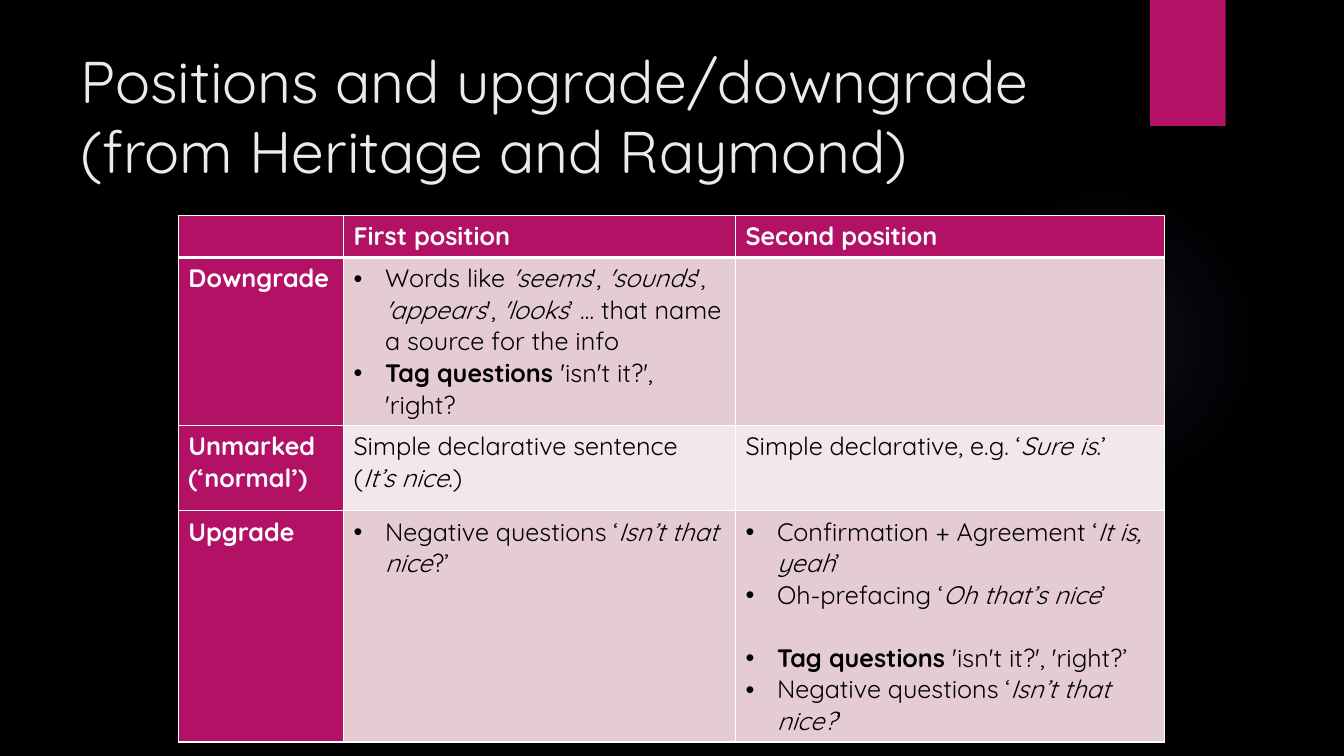
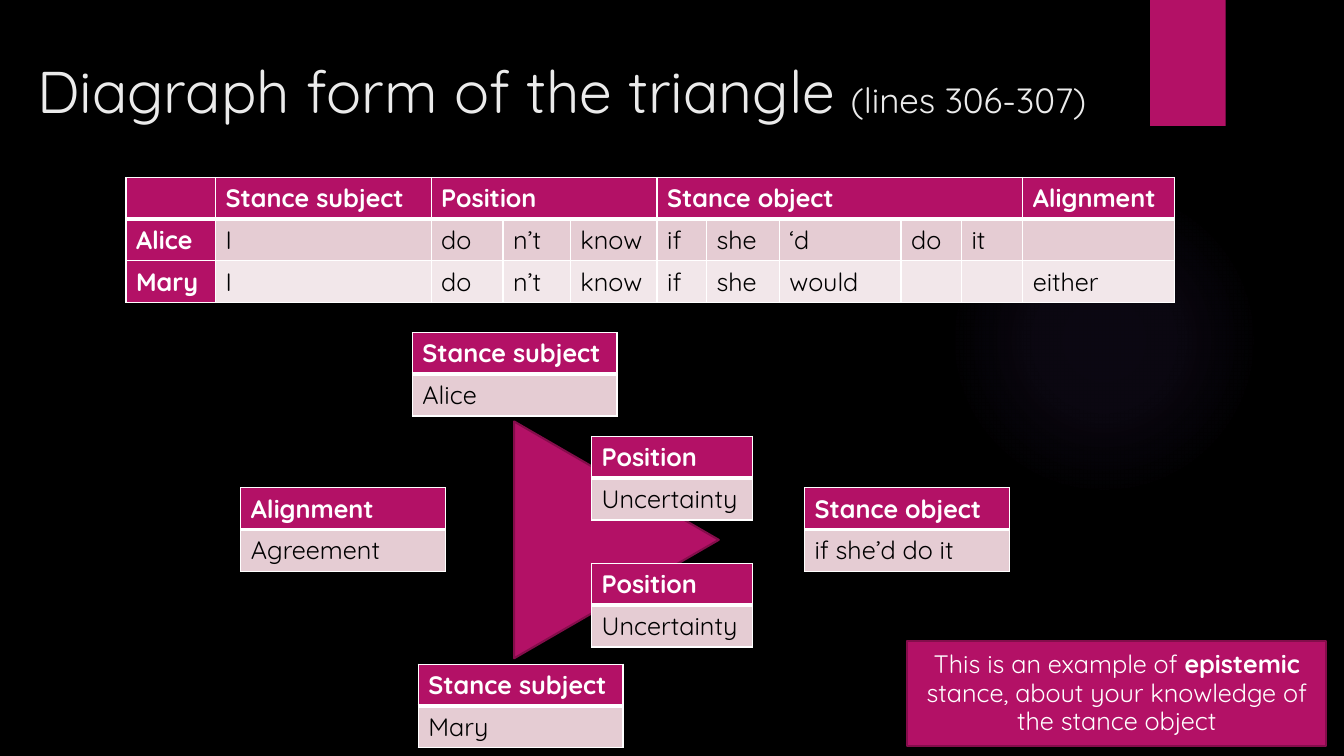
from dataclasses import dataclass

from pptx import Presentation
from pptx.dml.color import RGBColor
from pptx.enum.shapes import MSO_SHAPE
from pptx.enum.text import MSO_ANCHOR, MSO_AUTO_SIZE, PP_ALIGN
from pptx.oxml import parse_xml
from pptx.oxml.ns import nsdecls, qn
from pptx.util import Pt

FONT = "Quicksand"
BLACK, WHITE, TITLE = "000000", "FFFFFF", "EBEBEB"
MAGENTA, MAGENTA_DARK, GLOW = "B31166", "840D4B", "9B6BF2"
BANDS = ("E5CCD3", "F2E7EA")
BODY_SIZE, TITLE_SIZE = 18, 42
ROW_HEIGHT = 29.3
INDENT = 22.5


@dataclass
class Item:
    """Hold the runs of one paragraph, each a text and a style."""
    runs: list
    bullet: bool = False
    gap: float = 0


def color(value):
    """Turn a hex string into a colour."""
    return RGBColor.from_string(value)


def add_run(paragraph, text, size, text_color, style=""):
    """Append one formatted run; style holds b for bold, i for italic."""
    run = paragraph.add_run()
    run.text = text
    run.font.name = FONT
    run.font.size = Pt(size)
    run.font.color.rgb = color(text_color)
    run.font.bold = "b" in style
    run.font.italic = "i" in style


def add_box(slide, kind, box, fill, line=None):
    """Add a flat preset shape at a box of left, top, width and height."""
    shape = slide.shapes.add_shape(kind, *map(Pt, box))
    shape.shadow.inherit = False
    shape.fill.solid()
    shape.fill.fore_color.rgb = color(fill)
    if line:
        shape.line.color.rgb = color(line)
        shape.line.width = Pt(1.5)
    else:
        shape.line.fill.background()
    return shape


def set_glow(shape):
    """Replace the solid fill by a faint round gradient."""
    stops = "".join(
        f'<a:gs pos="{position * 1000}"><a:srgbClr val="{GLOW}">'
        f'<a:alpha val="{opacity * 1000}"/></a:srgbClr></a:gs>'
        for position, opacity in ((0, 7), (36, 6), (69, 0)))
    gradient = parse_xml(
        f'<a:gradFill {nsdecls("a")} rotWithShape="1"><a:gsLst>{stops}</a:gsLst>'
        '<a:path path="circle"><a:fillToRect l="50000" t="50000" r="50000" b="50000"/>'
        '</a:path></a:gradFill>')
    properties = shape.element.spPr
    properties.replace(properties.find(qn("a:solidFill")), gradient)


def decorate_layout(layout, slide):
    """Give the layout its background, glow and ribbon."""
    layout.background.fill.solid()
    layout.background.fill.fore_color.rgb = color(BLACK)
    glow = add_box(slide, MSO_SHAPE.OVAL, (677.5, 131.8, 221.8, 221.8), GLOW)
    set_glow(glow)
    ribbon = add_box(slide, MSO_SHAPE.RECTANGLE, (821.5, 0, 54, 90), MAGENTA)
    for index, shape in enumerate((glow, ribbon)):
        layout.shapes.element.insert(2 + index, shape.element)


def set_title(slide, box, *runs):
    """Place the title and write its runs of text and size."""
    title = slide.shapes.title
    title.left, title.top, title.width, title.height = map(Pt, box)
    frame = title.text_frame
    frame.word_wrap = True
    frame.auto_size = MSO_AUTO_SIZE.NONE
    frame.vertical_anchor = MSO_ANCHOR.TOP
    paragraph = frame.paragraphs[0]
    paragraph.alignment = PP_ALIGN.LEFT
    for text, size in runs:
        add_run(paragraph, text, size, TITLE)


def set_bullet(paragraph):
    """Give a paragraph a hanging round bullet."""
    properties = paragraph._p.get_or_add_pPr()
    properties.set("marL", str(Pt(INDENT)))
    properties.set("indent", str(-Pt(INDENT)))
    properties.append(parse_xml(f'<a:buFont {nsdecls("a")} typeface="Arial"/>'))
    properties.append(parse_xml(f'<a:buChar {nsdecls("a")} char="•"/>'))


def set_borders(cell, top, bottom):
    """Draw white borders of the given top and bottom widths."""
    properties = cell._tc.get_or_add_tcPr()
    for index, (side, width) in enumerate((("L", 1), ("R", 1), ("T", top), ("B", bottom))):
        properties.insert(index, parse_xml(
            f'<a:ln{side} {nsdecls("a")} w="{Pt(width)}"><a:solidFill>'
            f'<a:srgbClr val="{WHITE}"/></a:solidFill></a:ln{side}>'))


def fill_cell(cell, content, heading, band):
    """Fill a cell with a string or a list of items."""
    cell.fill.solid()
    cell.fill.fore_color.rgb = color(MAGENTA if heading else band)
    items = [Item([(content, "")])] if isinstance(content, str) else content
    for index, item in enumerate(items):
        frame = cell.text_frame
        paragraph = frame.add_paragraph() if index else frame.paragraphs[0]
        if item.gap:
            paragraph.space_before = Pt(item.gap)
        if item.bullet:
            set_bullet(paragraph)
        for text, style in item.runs:
            if text:
                add_run(paragraph, text, BODY_SIZE, WHITE if heading else BLACK,
                        "b" if heading else style)


def add_grid(slide, left, top, widths, heights, rows, heading_column=True, spans=()):
    """Add a table with a heading row and banded body rows."""
    frame = slide.shapes.add_table(len(rows), len(widths), Pt(left), Pt(top),
                                   Pt(sum(widths)), Pt(sum(heights)))
    table = frame.table
    table.horz_banding = False
    for column, width in zip(table.columns, widths):
        column.width = Pt(width)
    for row, height in zip(table.rows, heights):
        row.height = Pt(height)
    for row_index, row in enumerate(rows):
        for column_index, content in enumerate(row):
            cell = table.cell(row_index, column_index)
            heading = row_index == 0 or (heading_column and column_index == 0)
            fill_cell(cell, content, heading, BANDS[(row_index + 1) % 2])
            set_borders(cell, 3 if row_index == 1 else 1, 3 if row_index == 0 else 1)
    for first, last in spans:
        table.cell(0, first).merge(table.cell(0, last))


def add_corner(slide, left, top, width, heading, value):
    """Add a two-row label of the triangle."""
    add_grid(slide, left, top, [width], [ROW_HEIGHT] * 2, [[heading], [value]],
             heading_column=False)


def add_triangle(slide, left, top):
    """Draw the stance triangle with its labels around it."""
    triangle = add_box(slide, MSO_SHAPE.ISOSCELES_TRIANGLE,
                       (left + 183.7, top + 74.9, 169.2, 146.2), MAGENTA, MAGENTA_DARK)
    triangle.rotation = 90
    for x, y, width, heading, value in (
            (402.6, 110.9, 146.2, "Stance object", "if she’d do it"),
            (0, 110.9, 146.2, "Alignment", "Agreement"),
            (122.5, 0, 146.2, "Stance subject", "Alice"),
            (126.8, 236.9, 146.2, "Stance subject", "Mary"),
            (250.6, 74.2, 115.2, "Position", "Uncertainty"),
            (250.6, 164.9, 115.2, "Position", "Uncertainty")):
        add_corner(slide, left + x, top + y, width, heading, value)


def add_note(slide, box):
    """Add the closing remark in a box."""
    note = add_box(slide, MSO_SHAPE.RECTANGLE, box, MAGENTA, MAGENTA_DARK)
    frame = note.text_frame
    frame.word_wrap = True
    frame.vertical_anchor = MSO_ANCHOR.MIDDLE
    paragraph = frame.paragraphs[0]
    paragraph.alignment = PP_ALIGN.CENTER
    paragraph.line_spacing = 0.95
    for text, style in (("This is an example of ", ""), ("epistemic", "b"),
                        (" stance, about your knowledge of the stance object", "")):
        add_run(paragraph, text, BODY_SIZE, WHITE, style)


def build_positions(slide):
    """Build the slide on positions and upgrades."""
    set_title(slide, (50.4, 28, 741, 110),
              ("Positions and upgrade/downgrade (from Heritage and Raymond)", TITLE_SIZE))
    downgrade = [
        Item([("Words like ", ""), ("'seems", "i"), ("', ", ""), ("'sounds", "i"),
              ("', ", ""), ("'appears", "i"), ("', ", ""), ("'looks", "i"),
              ("’ … that name a source for the info", "")], True),
        Item([("Tag questions ", "b"), ("'isn't it?', 'right?", "")], True)]
    unmarked = [Item([("Simple declarative sentence (", ""), ("It’s nice", "i"), (".)", "")])]
    unmarked_second = [Item([("Simple declarative, e.g. ‘", ""), ("Sure is", "i"), (".’", "")])]
    upgrade = [Item([("Negative questions ‘", ""), ("Isn’t that nice", "i"), ("?’", "")], True)]
    upgrade_second = [
        Item([("Confirmation + Agreement ‘", ""), ("It is, yeah", "i"), ("’", "")], True),
        Item([("Oh-prefacing ‘", ""), ("Oh that’s nice", "i"), ("’", "")], True),
        Item([("Tag questions ", "b"), ("'isn't it?', 'right?’", "")], True, 22.5),
        Item([("Negative questions ‘", ""), ("Isn’t that nice?", "i"), ("’", "")], True)]
    add_grid(slide, 127.4, 154.1, [118, 280, 306.5], [ROW_HEIGHT, 82, 61, 115], [
        ["", "First position", "Second position"],
        ["Downgrade", downgrade, ""],
        ["Unmarked (‘normal’)", unmarked, unmarked_second],
        ["Upgrade", upgrade, upgrade_second]])


def build_diagraph(slide):
    """Build the slide on the diagraph and the triangle."""
    set_title(slide, (19.4, 35.3, 806.4, 110),
              ("Diagraph form of the triangle ", TITLE_SIZE), ("(lines 306-307)", 25))
    widths = [64, 154, 51.4, 48, 62, 35.3, 52, 87, 43.2, 43.7, 108.7]
    add_grid(slide, 90, 126.7, widths, [ROW_HEIGHT] * 3, [
        ["", "Stance subject", "Position", "", "", "Stance object", "", "", "", "", "Alignment"],
        ["Alice", "I", "do", "n’t", "know", "if", "she", "‘d", "do", "it", ""],
        ["Mary", "I", "do", "n’t", "know", "if", "she", "would", "", "", "either"]],
        spans=((2, 4), (5, 9)))
    add_triangle(slide, 172, 237.6)
    add_note(slide, (648, 457.9, 299.5, 74.9))


def main():
    """Build and save the presentation."""
    presentation = Presentation()
    presentation.slide_width, presentation.slide_height = Pt(960), Pt(540)
    layout = presentation.slide_layouts.get_by_name("Title Only")
    slides = [presentation.slides.add_slide(layout) for _ in range(2)]
    decorate_layout(layout, slides[0])
    build_positions(slides[0])
    build_diagraph(slides[1])
    presentation.save("out.pptx")


if __name__ == "__main__":
    main()
